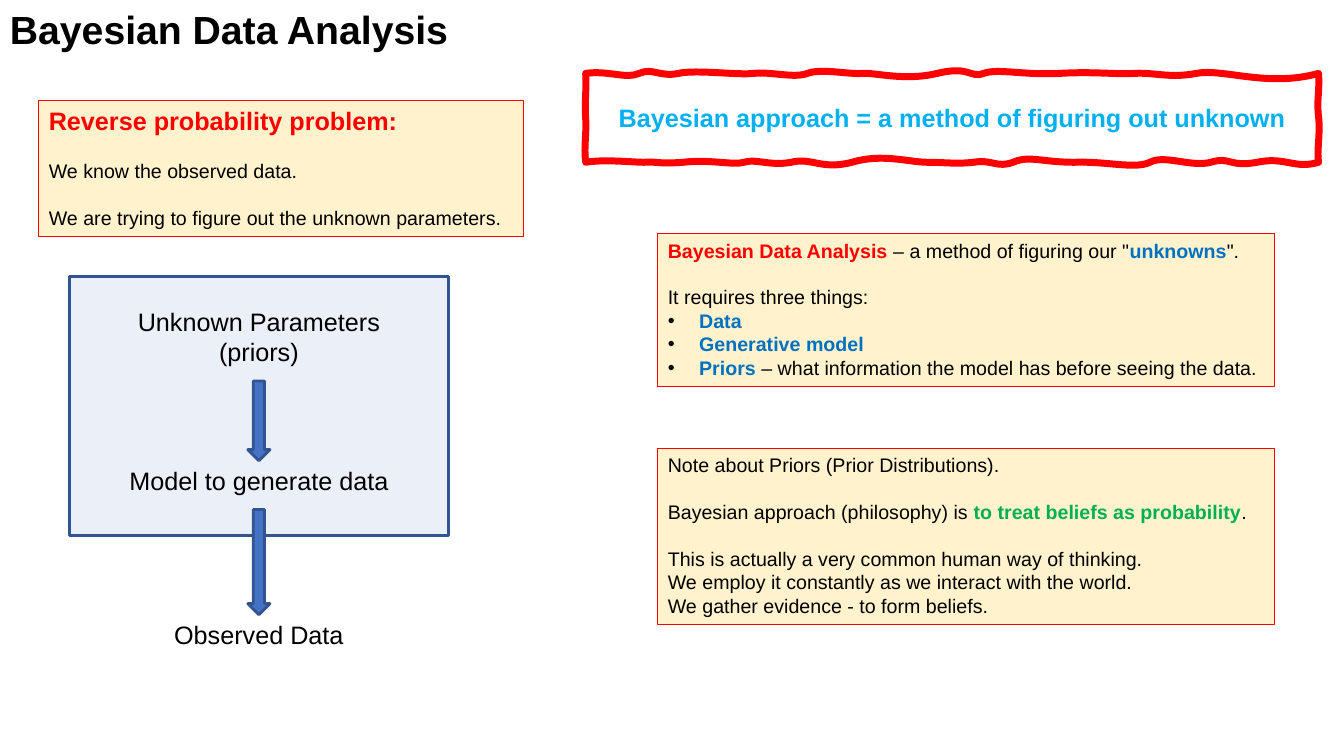
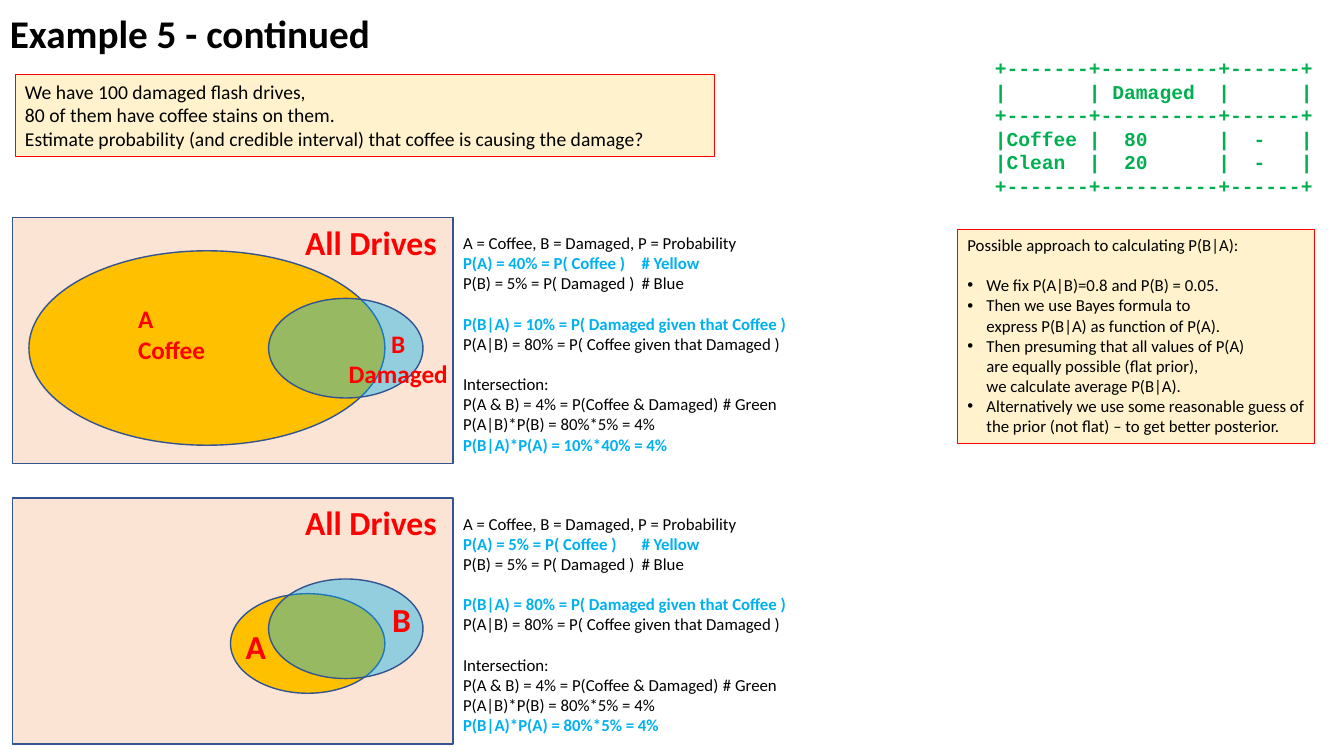
from lxml import etree
from pptx import Presentation
from pptx import util as u
from pptx.dml.color import RGBColor
from pptx.enum import shapes, text
from pptx.oxml import ns

COLOURS = {
    "black": "000000", "red": "FF0000", "blue": "0070C0", "sky": "00B0F0",
    "green": "00B050", "note": "FFF2CC", "arrow": "4472C4", "edge": "325491",
    "drives": "FBE4D4", "coffee": "FFC000",
}
LINE_HEIGHT = {"Arial": 1.18, "Calibri": 1.2}
CENTRE = text.PP_ALIGN.CENTER
RECT, OVAL, ARROW = (shapes.MSO_SHAPE.RECTANGLE, shapes.MSO_SHAPE.OVAL,
                     shapes.MSO_SHAPE.DOWN_ARROW)

# A paragraph is (layout, run, run...); layout may hold "gap" and "bullet".
# A run is plain text, or (text, colour) in bold, or (text, colour, size).
# Boxes are (left, top, width, height) in centimetres.
BAYES_TITLE = "Bayesian Data Analysis"
BAYES_NOTES = [
    ((0.98, 2.54, 12.21, 3.43), [
        ("", ("Reverse probability problem:", "red", 18)),
        ("gap", "We know the observed data."),
        ("gap", "We are trying to figure out the unknown parameters."),
    ]),
    ((16.58, 5.89, 15.55, 3.84), [
        ("", ("Bayesian Data Analysis", "red"), ' – a method of figuring our "',
         ("unknowns", "blue"), '".'),
        ("gap", "It requires three things:"),
        ("bullet", ("Data", "blue")),
        ("bullet", ("Generative model", "blue")),
        ("bullet", ("Priors", "blue"),
         " – what information the model has before seeing the data."),
    ]),
    ((16.58, 11.3, 15.55, 4.45), [
        ("", "Note about Priors (Prior Distributions)."),
        ("gap", "Bayesian approach (philosophy) is ",
         ("to treat beliefs as probability", "green"), "."),
        ("gap", "This is actually a very common human way of thinking."),
        ("", "We employ it constantly as we interact with the world."),
        ("", "We gather evidence - to form beliefs."),
    ]),
]
MODEL_PANEL = (1.75, 6.96, 9.55, 6.53)
STAGE_LEFT, STAGE_WIDTH, ARROW_WIDTH, ARROW_GAP = 2.26, 8.53, 0.56, 0.21
STAGES = [  # text, top, height
    ("Unknown Parameters (priors)", 7.59, 1.8),
    ("Model to generate data", 11.61, 1.02),
    ("Observed Data", 15.49, 1.02),
]
SLOGAN = "Bayesian approach = a method of figuring out unknown"

# Hand-drawn frame: each curve is two control points and an end point.
# Along an edge, the second value is the distance from that edge.
FRAME_BOX = (14.76, 1.85, 18.47, 2.24)
TOP_WAVES = [
    (0.58, -0.08, 1.02, 0.15, 1.35), (1.68, -0.15, 1.88, 0.1, 2.34),
    (2.79, -0.1, 3.84, 0.05, 4.24), (4.65, -0.05, 5.26, 0.13, 5.59),
    (5.94, -0.13, 6.65, 0.03, 6.96), (7.26, -0.03, 8.03, 0.2, 8.86),
    (9.7, -0.2, 9.68, 0.13, 10.03), (10.39, -0.13, 11.05, 0.05, 11.94),
    (12.83, -0.05, 13.36, 0.03, 13.84), (14.33, -0.03, 14.71, 0.13, 15.39),
    (16.08, -0.13, 17.17, 0.36, 18.47),
]
RIGHT_WAVES = [(0.48, 0.03, 0.66, -0.05, 1.09), (1.52, 0.05, 1.98, -0.05, 2.24)]
BOTTOM_WAVES = [
    (17.86, 0.18, 17.63, -0.15, 16.92), (16.21, 0.13, 16.26, -0.15, 15.75),
    (15.27, 0.13, 14.58, -0.2, 14.22), (13.84, 0.18, 13.13, -0.03, 12.32),
    (11.48, 0, 11.18, -0.18, 10.77), (10.36, 0.15, 10.24, -0.08, 9.78),
    (9.32, 0.05, 9.07, 0, 8.61), (8.15, 0, 7.47, -0.23, 6.71),
    (5.94, 0.2, 5.69, -0.13, 5.18), (4.65, 0.1, 4.27, -0.1, 3.99),
    (3.73, 0.08, 3.12, -0.08, 2.46), (1.8, 0.05, 1.75, -0.03, 1.47),
    (1.19, 0, 0.46, -0.08, 0),
]
LEFT_WAVES = [(1.85, -0.05, 1.45, 0.03, 1.12), (0.79, -0.03, 0.23, 0.03, 0)]

DRIVES_TITLE = "Example 5 - continued"
DRIVES_NOTES = [
    ((0.38, 1.88, 17.63, 2.06), 14, [
        ("", "We have 100 damaged flash drives,"),
        ("", "80 of them have coffee stains on them."),
        ("", "Estimate probability (and credible interval) that coffee is "
             "causing the damage?"),
    ]),
    ((24.13, 5.79, 9.01, 5.38), 12, [
        ("", "Possible approach to calculating P(B|A):"),
        ("gap bullet", "We fix P(A|B)=0.8 and P(B) = 0.05."),
        ("bullet", "Then we use Bayes formula to\n"
                   "express P(B|A) as function of P(A)."),
        ("bullet", "Then presuming that all values of P(A)\n"
                   "are equally possible (flat prior),\n"
                   "we calculate average P(B|A)."),
        ("bullet", "Alternatively we use some reasonable guess of the prior "
                   "(not flat) – to get better posterior."),
    ]),
]
COUNTS_BOX = (24.82, 1.29, 8.66, 3.84)
COUNTS = """\
+-------+----------+------+
|       | Damaged  |      |
+-------+----------+------+
|Coffee |  80      |  -   |
|Clean  |  20      |  -   |
+-------+----------+------+"""

PANEL_LEFT, PANEL_WIDTH, PANEL_HEIGHT = 0.32, 11.1, 6.2
FACTS_OFFSET, FACT_TABS = 0.26, (4.5, 6.55)
DAMAGED_OVAL = (6.77, 2.04, 3.89, 2.51)
PANEL_NAME = ("All Drives", (7.44, -0.02, 4.24, 1.27), 24, None)
# Tops of ovals and labels are measured from the top of their panel.
SCENARIOS = [
    {"top": 5.48, "P(A)": "40%", "P(B|A)": "10%",
     "coffee": (0.73, 0.84, 8.97, 4.9),
     "labels": [("A\nCoffee", (3.23, 2.05, 2.69, 1.8), 18, None),
                ("B\nDamaged", (8.41, 2.67, 3.25, 2.08), 18, CENTRE)]},
    {"top": 12.55, "P(A)": "5%", "P(B|A)": "80%",
     "coffee": (5.81, 2.41, 3.89, 2.51),
     "labels": [("A", (5.94, 3.1, 1.63, 1.19), 24, None),
                ("B", (9.63, 2.41, 1.78, 1.19), 24, None)]},
]


def rgb(name):
    return RGBColor.from_string(COLOURS[name])


def cm(box):
    return [u.Cm(length) for length in box]


def facts(p_a, p_b_given_a):
    return [
        ("", "A = Coffee, B = Damaged, P = Probability"),
        ("", (f"P(A) = {p_a} = P( Coffee )\t# Yellow", "sky")),
        ("", "P(B) = 5% = P( Damaged )\t# Blue"),
        ("gap", (f"P(B|A) = {p_b_given_a} = P( Damaged given that Coffee )", "sky")),
        ("", "P(A|B) = 80% = P( Coffee given that Damaged )"),
        ("gap", "Intersection:"),
        ("", "P(A & B) = 4% = P(Coffee & Damaged)\t# Green"),
        ("", "P(A|B)*P(B) = 80%*5% = 4%"),
        ("", (f"P(B|A)*P(A) = {p_b_given_a}*{p_a} = 4%", "sky")),
    ]


def add_bullet(paragraph, indent):
    props = paragraph._p.get_or_add_pPr()
    props.set("marL", str(u.Cm(indent)))
    props.set("indent", str(-u.Cm(indent)))
    colour = etree.SubElement(props, ns.qn("a:buClr"))
    etree.SubElement(colour, ns.qn("a:srgbClr"), val=COLOURS["black"])
    etree.SubElement(props, ns.qn("a:buFont"), typeface="Arial")
    etree.SubElement(props, ns.qn("a:buChar"), char="•")


def add_tabs(paragraph, stops):
    tabs = etree.SubElement(paragraph._p.get_or_add_pPr(), ns.qn("a:tabLst"))
    for stop in stops:
        etree.SubElement(tabs, ns.qn("a:tab"), pos=str(u.Cm(stop)), algn="l")


def write(shape, paragraphs, font, size, align=None, anchor=None, indent=0, tabs=()):
    frame = shape.text_frame
    frame.word_wrap = True
    frame.vertical_anchor = anchor or text.MSO_ANCHOR.TOP
    for index, (layout, *runs) in enumerate(paragraphs):
        paragraph = frame.add_paragraph() if index else frame.paragraphs[0]
        paragraph.alignment = align or text.PP_ALIGN.LEFT
        if "gap" in layout:
            paragraph.space_before = u.Pt(round(size * LINE_HEIGHT[font], 1))
        if "bullet" in layout:
            add_bullet(paragraph, indent)
        if tabs and any("\t" in "".join(run[:1] if isinstance(run, tuple) else run)
                        for run in runs):
            add_tabs(paragraph, tabs)
        for run in runs:
            words, colour, run_size = (
                (run, "black", size) if isinstance(run, str) else (*run, size)[:3])
            for row, line in enumerate(words.split("\n")):
                if row:
                    paragraph.add_line_break()
                piece = paragraph.add_run()
                piece.text = line
                piece.font.name = font
                piece.font.size = u.Pt(run_size)
                piece.font.bold = not isinstance(run, str)
                piece.font.color.rgb = rgb(colour)


def add_text(slide, box, paragraphs, font, size, **layout):
    write(slide.shapes.add_textbox(*cm(box)), paragraphs, font, size, **layout)


def add_figure(slide, kind, box, fill, line="edge", weight=1, opacity=None):
    figure = slide.shapes.add_shape(kind, *cm(box))
    figure.shadow.inherit = False
    figure.fill.solid()
    figure.fill.fore_color.rgb = rgb(fill)
    figure.line.color.rgb = rgb(line)
    figure.line.width = u.Pt(weight)
    if opacity:
        colour = figure._element.spPr.find(ns.qn("a:solidFill"))[0]
        etree.SubElement(colour, ns.qn("a:alpha"), val=str(opacity * 1000))
    return figure


def add_note(slide, box, paragraphs, font, size, indent):
    note = add_figure(slide, RECT, box, "note", "red", 0.75)
    write(note, paragraphs, font, size, indent=indent)


def add_title(slide, title, font, top):
    add_text(slide, (0, top, 21.95, 1.45), [("", (title, "black"))], font, 28)


def frame_curves():
    """Give each curve as three points, clockwise from the frame's top left."""
    _, _, width, height = FRAME_BOX
    edges = [(TOP_WAVES, 0, False), (RIGHT_WAVES, width, True),
             (BOTTOM_WAVES, height, False), (LEFT_WAVES, 0, True)]
    for waves, edge, upright in edges:
        for first, lift, second, drop, end in waves:
            points = [(first, edge + lift), (second, edge + drop), (end, edge)]
            yield [cm(point[::-1] if upright else point) for point in points]


def add_slogan(slide):
    left, top = cm(FRAME_BOX[:2])
    curves = list(frame_curves())
    builder = slide.shapes.build_freeform(0, 0)
    builder.add_line_segments([curve[-1] for curve in curves], close=True)
    frame = builder.convert_to_shape(left, top)
    for segment, curve in zip(list(frame._element.iter(ns.qn("a:lnTo"))), curves):
        segment.tag = ns.qn("a:cubicBezTo")
        segment.remove(segment[0])
        for x, y in curve:
            etree.SubElement(segment, ns.qn("a:pt"), x=str(x), y=str(y))
    frame.shadow.inherit = False
    frame.fill.background()
    frame.line.color.rgb = rgb("red")
    frame.line.width = u.Pt(5)
    write(frame, [("", (SLOGAN, "sky"))], "Arial", 18, CENTRE, text.MSO_ANCHOR.MIDDLE)


def build_bayes(slide):
    add_figure(slide, RECT, MODEL_PANEL, "arrow", weight=2, opacity=10)
    add_title(slide, BAYES_TITLE, "Arial", 0)
    for stage, top, height in STAGES:
        add_text(slide, (STAGE_LEFT, top, STAGE_WIDTH, height), [("", stage)],
                 "Arial", 18, align=CENTRE)
    arrow_left = STAGE_LEFT + (STAGE_WIDTH - ARROW_WIDTH) / 2
    for (_, top, height), (_, next_top, _) in zip(STAGES, STAGES[1:]):
        start = top + height + ARROW_GAP
        add_figure(slide, ARROW, (arrow_left, start, ARROW_WIDTH, next_top - start),
                   "arrow", weight=2)
    for box, paragraphs in BAYES_NOTES:
        add_note(slide, box, paragraphs, "Arial", 14, 0.79)
    add_slogan(slide)


def build_drives(slide):
    add_title(slide, DRIVES_TITLE, "Calibri", 0.1)
    for box, size, paragraphs in DRIVES_NOTES:
        add_note(slide, box, paragraphs, "Calibri", size, 0.48)
    add_text(slide, COUNTS_BOX, [("", (row, "green")) for row in COUNTS.split("\n")],
             "Courier New", 14)
    for scenario in SCENARIOS:
        panel_top = scenario["top"]

        def inside(box):
            return (box[0], panel_top + box[1], *box[2:])

        add_figure(slide, RECT, (PANEL_LEFT, panel_top, PANEL_WIDTH, PANEL_HEIGHT),
                   "drives")
        add_figure(slide, OVAL, inside(scenario["coffee"]), "coffee")
        add_figure(slide, OVAL, inside(DAMAGED_OVAL), "sky", opacity=41)
        for label, box, size, align in [*scenario["labels"], PANEL_NAME]:
            add_text(slide, inside(box), [("", (label, "red"))], "Calibri", size,
                     align=align)
        add_text(slide, (PANEL_LEFT + PANEL_WIDTH, panel_top + FACTS_OFFSET, 9.3, 5.69),
                 facts(scenario["P(A)"], scenario["P(B|A)"]), "Calibri", 12,
                 tabs=FACT_TABS)


def main():
    deck = Presentation()
    deck.slide_width, deck.slide_height = u.Cm(33.87), u.Cm(19.05)
    for build in (build_bayes, build_drives):
        build(deck.slides.add_slide(deck.slide_layouts[6]))
    deck.save("out.pptx")


if __name__ == "__main__":
    main()
